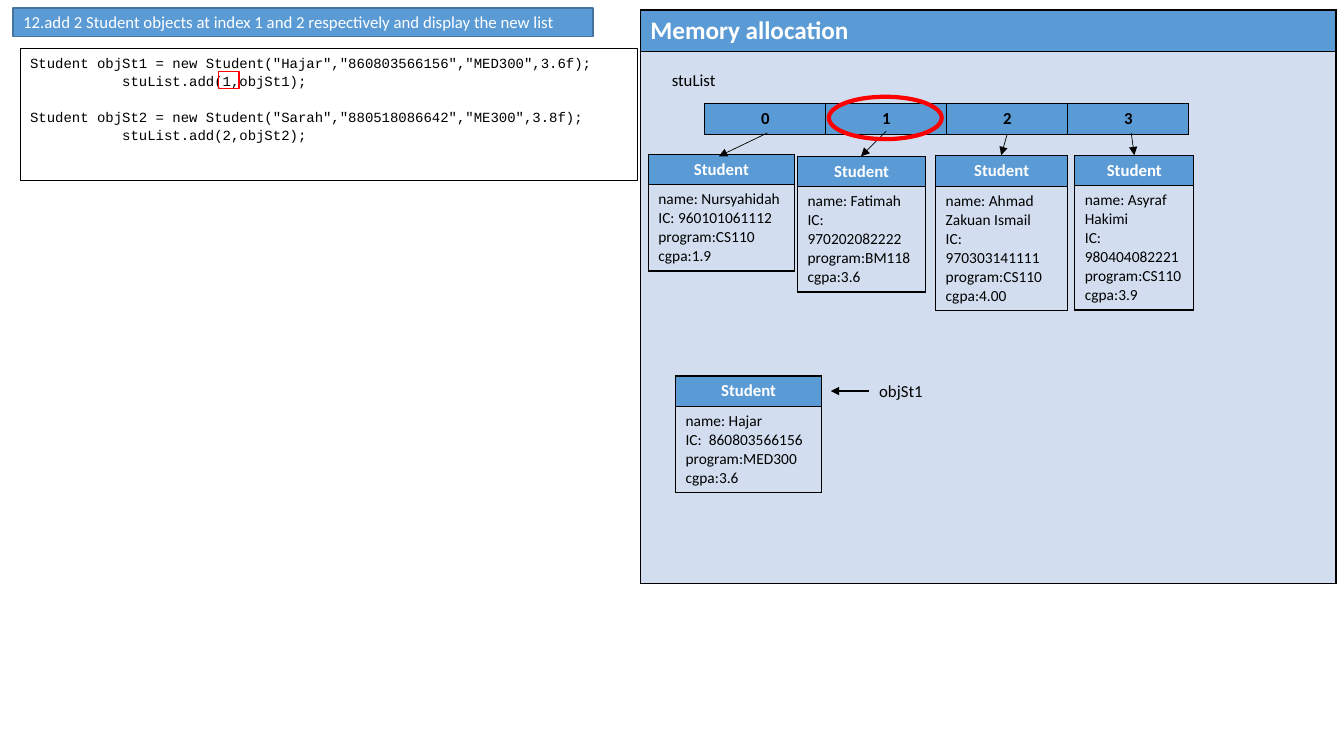
from lxml import etree
from pptx import Presentation
from pptx.dml.color import RGBColor
from pptx.enum.shapes import MSO_CONNECTOR, MSO_SHAPE
from pptx.enum.text import MSO_ANCHOR, MSO_AUTO_SIZE, PP_ALIGN
from pptx.oxml import parse_xml
from pptx.oxml.ns import nsdecls, qn
from pptx.util import Inches, Pt

RECT, OVAL = MSO_SHAPE.RECTANGLE, MSO_SHAPE.OVAL
STRAIGHT = MSO_CONNECTOR.STRAIGHT
TOP, MIDDLE = MSO_ANCHOR.TOP, MSO_ANCHOR.MIDDLE
NO_FIT = MSO_AUTO_SIZE.NONE
LEFT, CENTER = PP_ALIGN.LEFT, PP_ALIGN.CENTER
BLUE, PALE, WHITE, BLACK, RED = "5B9BD5", "D2DEEF", "FFFFFF", "000000", "FF0000"
rgb = RGBColor.from_string


def style_text(tf, size, color, bold=False, align=LEFT, font="Calibri"):
    for p in tf.paragraphs:
        p.alignment = align
        p.font.size = Pt(size)
        p.font.name = font
        p.font.bold = bold
        p.font.color.rgb = rgb(color)


def add_grid(s, left, top, col_widths, row_heights, rows):
    """Add a black-bordered table; rows hold (texts, fill, text style)."""
    table = s.shapes.add_table(
        len(rows), len(col_widths), Inches(left), Inches(top),
        Inches(sum(col_widths)), Inches(sum(row_heights))).table
    table.horz_banding = False
    for column, width in zip(table.columns, col_widths):
        column.width = Inches(width)
    for i, (texts, fill, style) in enumerate(rows):
        table.rows[i].height = Inches(row_heights[i])
        for j, text in enumerate(texts):
            cell = table.cell(i, j)
            cell.text = text
            style_text(cell.text_frame, *style)
            tc_pr = cell._tc.get_or_add_tcPr()
            for side in ("lnL", "lnR", "lnT", "lnB"):
                tc_pr.append(parse_xml(
                    f'<a:{side} {nsdecls("a")} w="12700"><a:solidFill>'
                    f'<a:srgbClr val="{BLACK}"/></a:solidFill></a:{side}>'))
            cell.fill.solid()
            cell.fill.fore_color.rgb = rgb(fill)


prs = Presentation()
prs.slide_width, prs.slide_height = Inches(13.33), Inches(7.5)
s = prs.slides.add_slide(prs.slide_layouts[5])

# Task heading
title = s.shapes.title
title.left, title.top = Inches(0.13), Inches(0.08)
title.width, title.height = Inches(5.75), Inches(0.28)
title.fill.solid()
title.fill.fore_color.rgb = rgb(BLUE)
title.line.color.rgb = rgb("43739E")
title.line.width = Pt(1)
tf = title.text_frame
tf.text = "12.add 2 Student objects at index 1 and 2 respectively and display the new list"
tf.auto_size = NO_FIT
tf.word_wrap = True
tf.vertical_anchor = MIDDLE
style_text(tf, 12, WHITE)

# Code
code = s.shapes.add_shape(RECT, Inches(0.2), Inches(0.48), Inches(6.12), Inches(1.31))
code.shadow.inherit = False
code.fill.solid()
code.fill.fore_color.rgb = rgb(WHITE)
code.line.color.rgb = rgb(BLACK)
code.line.width = Pt(0.75)
tf = code.text_frame
tf.word_wrap = True
tf.vertical_anchor = TOP
tf.text = "\n".join([
    'Student objSt1 = new Student("Hajar","860803566156","MED300",3.6f);',
    "           stuList.add(1,objSt1);",
    'Student objSt2 = new Student("Sarah","880518086642","ME300",3.8f);',
    "           stuList.add(2,objSt2);",
])
style_text(tf, 10, BLACK, font="Courier New")
for p in tf.paragraphs:
    p.line_spacing = 1.07
tf.paragraphs[2].space_before = Pt(13)

# Memory panel and list cells
add_grid(s, 6.35, 0.1, [6.9], [0.41, 5.28], [
    (["Memory allocation"], BLUE, (18, WHITE, True)),
    ([""], PALE, (18, BLACK)),
])
add_grid(s, 6.99, 1.03, [1.2] * 4, [0.3],
         [("0123", BLUE, (12, BLACK, True, CENTER))])

# Student objects: left, top, width, header height, body height, fields
students = [
    (6.43, 1.53, 1.45, 0.3, 0.83,
     "name: Nursyahidah\nIC: 960101061112\nprogram:CS110\ncgpa:1.9"),
    (7.91, 1.55, 1.27, 0.3, 1.02,
     "name: Fatimah\nIC: 970202082222\nprogram:BM118\ncgpa:3.6"),
    (9.28, 1.54, 1.31, 0.31, 1.2,
     "name: Ahmad Zakuan Ismail\nIC: 970303141111\nprogram:CS110\ncgpa:4.00"),
    (10.66, 1.54, 1.18, 0.3, 1.2,
     "name: Asyraf Hakimi\nIC: 980404082221\nprogram:CS110\ncgpa:3.9"),
    (6.7, 3.73, 1.45, 0.3, 0.83,
     "name: Hajar\nIC:  860803566156\nprogram:MED300\ncgpa:3.6"),
]
for left, top, width, header, body, fields in students:
    add_grid(s, left, top, [width], [header, body], [
        (["Student"], BLUE, (12, WHITE, True, CENTER)),
        ([fields], PALE, (11, BLACK)),
    ])

# Variable names
for name, left, top, width in [("stuList", 6.56, 0.64, 0.64), ("objSt1", 8.59, 3.73, 0.69)]:
    label = s.shapes.add_textbox(Inches(left), Inches(top), Inches(width), Inches(0.3))
    label.text_frame.text = name
    style_text(label.text_frame, 12, BLACK, align=CENTER)

# References
arrows = [
    (7.61, 1.32, 7.13, 1.55, 0.5),
    (8.79, 1.3, 8.54, 1.55, 0.5),
    (9.99, 1.33, 9.93, 1.54, 0.5),
    (11.22, 1.32, 11.25, 1.54, 0.5),
    (8.62, 3.88, 8.24, 3.88, 1.5),
]
for x1, y1, x2, y2, weight in arrows:
    arrow = s.shapes.add_connector(STRAIGHT, Inches(x1), Inches(y1), Inches(x2), Inches(y2))
    arrow.line.color.rgb = rgb(BLACK)
    arrow.line.width = Pt(weight)
    etree.SubElement(arrow.get_or_add_ln(), qn("a:tailEnd"), type="triangle")
    etree.SubElement(arrow._element.spPr, qn("a:effectLst"))

# Red highlights of index 1
for shape, left, top, width, height, weight in [
    (RECT, 2.17, 0.71, 0.2, 0.17, 1),
    (OVAL, 8.22, 0.96, 1.12, 0.42, 3),
]:
    mark = s.shapes.add_shape(shape, Inches(left), Inches(top), Inches(width), Inches(height))
    mark.shadow.inherit = False
    mark.fill.background()
    mark.line.color.rgb = rgb(RED)
    mark.line.width = Pt(weight)

prs.save("out.pptx")
